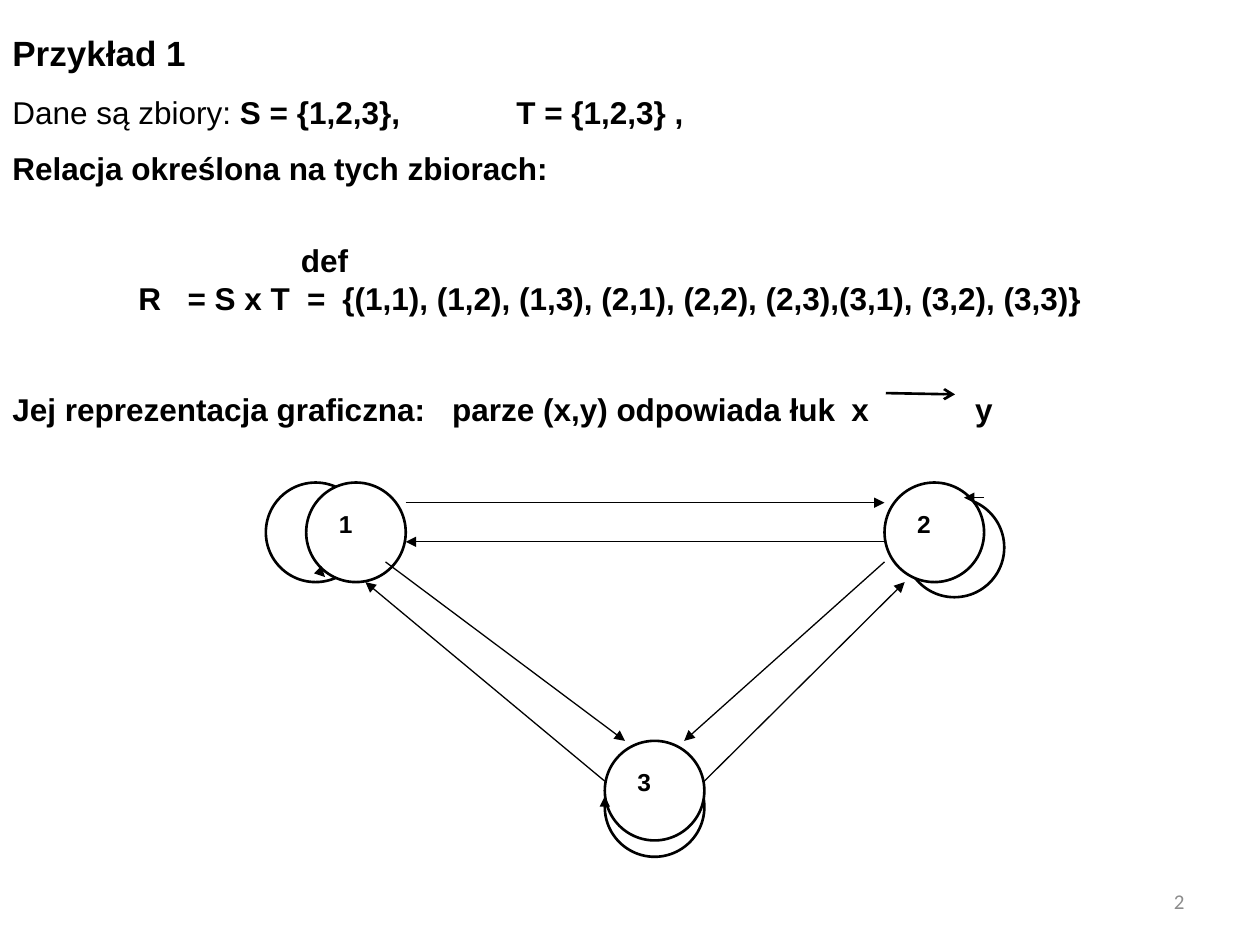
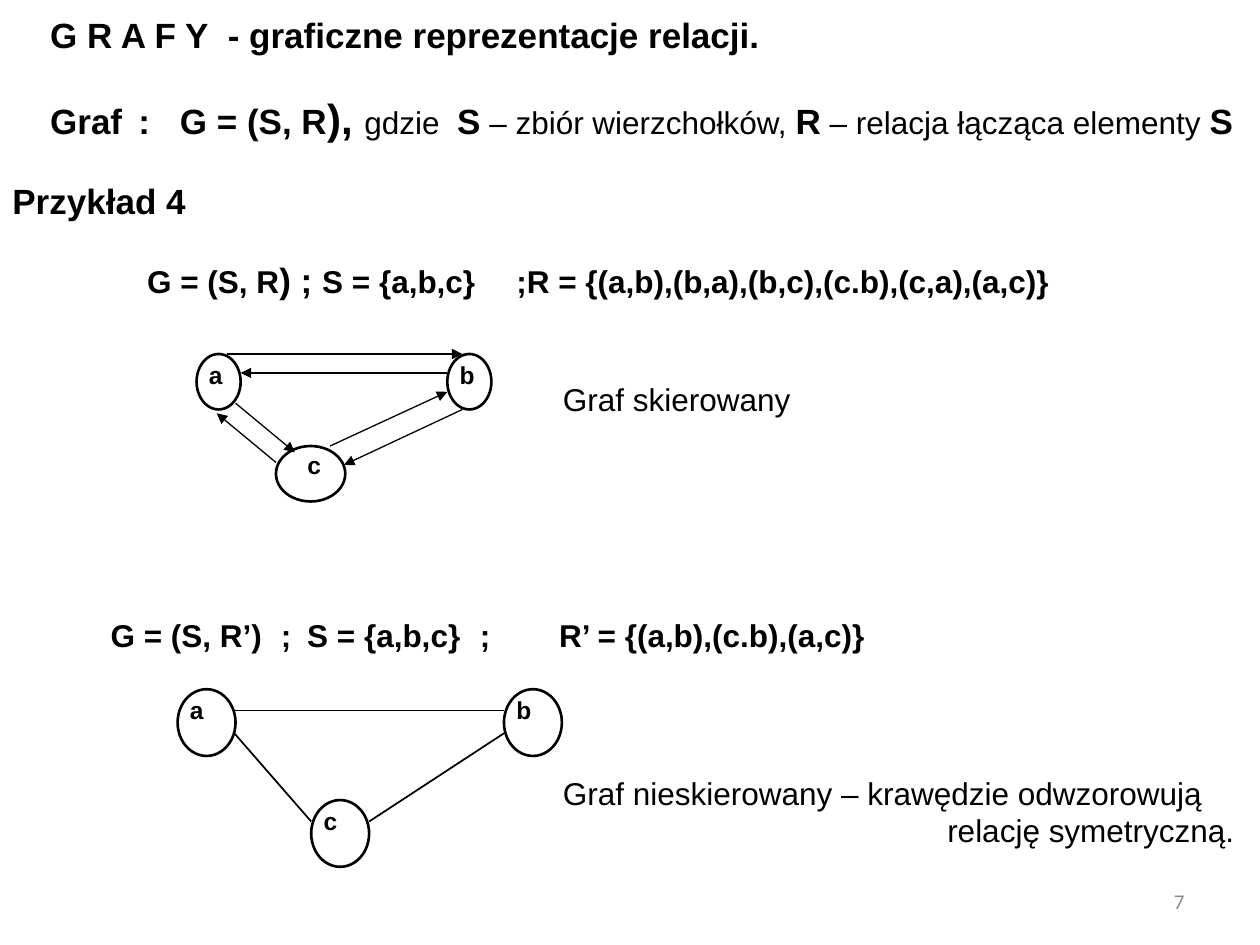
from lxml.etree import SubElement
from pptx import Presentation
from pptx.dml.color import RGBColor
from pptx.enum.shapes import MSO_CONNECTOR, MSO_SHAPE
from pptx.enum.text import MSO_ANCHOR, PP_ALIGN
from pptx.oxml.ns import qn
from pptx.util import Pt

PX = 9144
BLACK, WHITE, GREY = "000000", "FFFFFF", "8C8C8C"
TOP, MIDDLE = MSO_ANCHOR.TOP, MSO_ANCHOR.MIDDLE


def write(box, paragraphs, anchor=TOP, font="Arial", color=BLACK, align=PP_ALIGN.LEFT):
    frame = box.text_frame
    frame.word_wrap = True
    frame.vertical_anchor = anchor
    for index, (runs, tabs, before, spacing) in enumerate(paragraphs):
        para = frame.paragraphs[0] if index == 0 else frame.add_paragraph()
        para.alignment = align
        para.line_spacing = spacing
        para.space_before = Pt(before)
        if tabs:
            stops = SubElement(para._p.get_or_add_pPr(), qn("a:tabLst"))
            for tab in tabs:
                SubElement(stops, qn("a:tab"), pos=str(tab * PX), algn="l")
        for text, size, bold in runs:
            span = para.add_run()
            span.text = text
            span.font.name = font
            span.font.size = Pt(size)
            span.font.bold = bold
            span.font.color.rgb = RGBColor.from_string(color)


def add_shape(page, preset, place, fill=None, line=None):
    shape = page.shapes.add_shape(preset, *[value * PX for value in place])
    shape.shadow.inherit = False
    if fill:
        shape.fill.solid()
        shape.fill.fore_color.rgb = RGBColor.from_string(fill)
    else:
        shape.fill.background()
    if line:
        shape.line.color.rgb = RGBColor.from_string(line)
        shape.line.width = Pt(1.5)
    else:
        shape.line.fill.background()
    return shape


deck = Presentation()
deck.slide_width = 1000 * PX
deck.slide_height = 750 * PX
relation_page, graph_page = [deck.slides.add_slide(deck.slide_layouts[6]) for _ in range(2)]

for left, top in [(718, 395), (480, 601), (211, 383)]:
    add_shape(relation_page, MSO_SHAPE.OVAL, (left, top, 79, 79), WHITE, BLACK)

for name, left, top in [("1", 243, 383), ("2", 702, 383), ("3", 480, 588)]:
    add_shape(relation_page, MSO_SHAPE.OVAL, (left, top, 79, 79), WHITE, BLACK)
    label = add_shape(relation_page, MSO_SHAPE.RECTANGLE, (left + 16, top + 16, 48, 47), WHITE)
    write(label, [([(name, 14, True)], [], 0, 1)])

directed_nodes = [
    ("a", (156, 281, 35, 44), (156, 281, 35, 44)),
    ("b", (355, 281, 35, 44), (355, 281, 35, 44)),
    ("c", (219, 354, 55, 44), (234, 352, 39, 39)),
]
undirected_nodes = [
    ("a", (141, 547, 46, 53), (141, 547, 46, 53)),
    ("b", (400, 547, 46, 53), (400, 547, 46, 53)),
    ("c", (247, 635, 46, 53), (247, 635, 61, 53)),
]
for nodes in (directed_nodes, undirected_nodes):
    for name, oval_place, label_place in nodes:
        label = add_shape(graph_page, MSO_SHAPE.RECTANGLE, label_place, WHITE)
        write(label, [([(name, 14, True)], [], 0, 1)])
    for name, oval_place, label_place in nodes:
        add_shape(graph_page, MSO_SHAPE.OVAL, oval_place, None, BLACK)

relation_arcs = [
    (322, 399, 702, 399),
    (702, 430, 322, 430),
    (306, 446, 496, 588),
    (480, 620, 290, 462),
    (702, 446, 543, 588),
    (559, 620, 718, 462),
    (257, 457, 258, 458),
    (480, 648, 480, 632),
    (781, 395, 765, 395),
]
directed_arcs = [
    (180, 281, 367, 281),
    (355, 296, 191, 296),
    (187, 320, 234, 359),
    (219, 367, 172, 328),
    (367, 325, 273, 369),
    (262, 354, 355, 311),
]
line_groups = [
    (relation_page, relation_arcs, 0.75, "triangle"),
    (relation_page, [(703, 312, 758, 313)], 1.5, "arrow"),
    (graph_page, directed_arcs, 0.75, "triangle"),
    (graph_page, [(400, 564, 186, 564)], 0.75, None),
    (graph_page, [(400, 582, 293, 652), (186, 582, 247, 652)], 1, None),
]
for page, lines, width, head in line_groups:
    for ends in lines:
        connector = page.shapes.add_connector(MSO_CONNECTOR.STRAIGHT, *[value * PX for value in ends])
        connector.line.color.rgb = RGBColor.from_string(BLACK)
        connector.line.width = Pt(width)
        if head:
            SubElement(connector.line._get_or_add_ln(), qn("a:tailEnd"), type=head)
        SubElement(connector._element.spPr, qn("a:effectLst"))

relation_text = [
    ([("Przykład 1", 20, True)], [], 0, 1.5),
    ([("Dane są zbiory: ", 18, False), ("S = {1,2,3},\tT = {1,2,3} ,", 18, True)], [400], 0, 1.5),
    ([("Relacja określona na tych zbiorach:", 18, True)], [], 0, 1.5),
    ([("\tdef", 18, True)], [229], 31, 1),
    ([("\tR\t= S x T\t=\t{(1,1), (1,2), (1,3), (2,1), (2,2), (2,3),(3,1), (3,2), (3,3)}", 18, True)],
     [100, 139, 234, 262], 0, 1),
    ([("Jej reprezentacja graficzna:\tparze (x,y) odpowiada łuk\tx\ty", 18, True)],
     [349, 666, 764], 31, 1.5),
]
graph_text = [
    ([("\tG R A F Y\t- graficzne reprezentacje relacji.", 20, True)], [30, 171], 0, 1),
    ([("\tGraf\t:\tG = (S, R", 20, True), ("), ", 24, True), ("gdzie\t", 18, False),
      ("S", 20, True), (" – zbiór wierzchołków, ", 18, False), ("R", 20, True),
      (" – relacja łącząca elementy ", 18, False), ("S", 20, True)], [30, 100, 133, 353], 21, 1),
    ([("Przykład 4", 20, True)], [], 21, 1),
    ([("\tG = (S, R", 18, True), (") ; ", 20, True),
      ("S = {a,b,c}\t;R = {(a,b),(b,a),(b,c),(c.b),(c,a),(a,c)}", 18, True)], [107, 400], 21, 1),
]
text_blocks = [
    (relation_page, (0, 0, 1000, 348), relation_text, MIDDLE),
    (graph_page, (0, 0, 1000, 249), graph_text, MIDDLE),
    (graph_page, (78, 484, 171, 40), [([("G = (S, R’)\t;", 18, True)], [135], 0, 1)], TOP),
    (graph_page, (234, 484, 484, 40),
     [([("S = {a,b,c}\t;\tR’ = {(a,b),(c.b),(a,c)}", 18, True)], [137, 200], 0, 1)], TOP),
    (graph_page, (437, 297, 210, 40), [([("Graf skierowany", 18, False)], [], 0, 1)], TOP),
    (graph_page, (437, 609, 563, 71),
     [([("Graf nieskierowany – krawędzie odwzorowują", 18, False)], [], 0, 1),
      ([("\trelację symetryczną.", 18, False)], [305], 0, 1)], TOP),
]
for page, place, paragraphs, anchor in text_blocks:
    write(page.shapes.add_textbox(*[value * PX for value in place]), paragraphs, anchor)

for page, number in [(relation_page, "2"), (graph_page, "7")]:
    box = page.shapes.add_textbox(717 * PX, 695 * PX, 233 * PX, 40 * PX)
    write(box, [([(number, 12, False)], [], 0, 1)], MIDDLE, "Calibri", GREY, PP_ALIGN.RIGHT)

deck.save("out.pptx")
